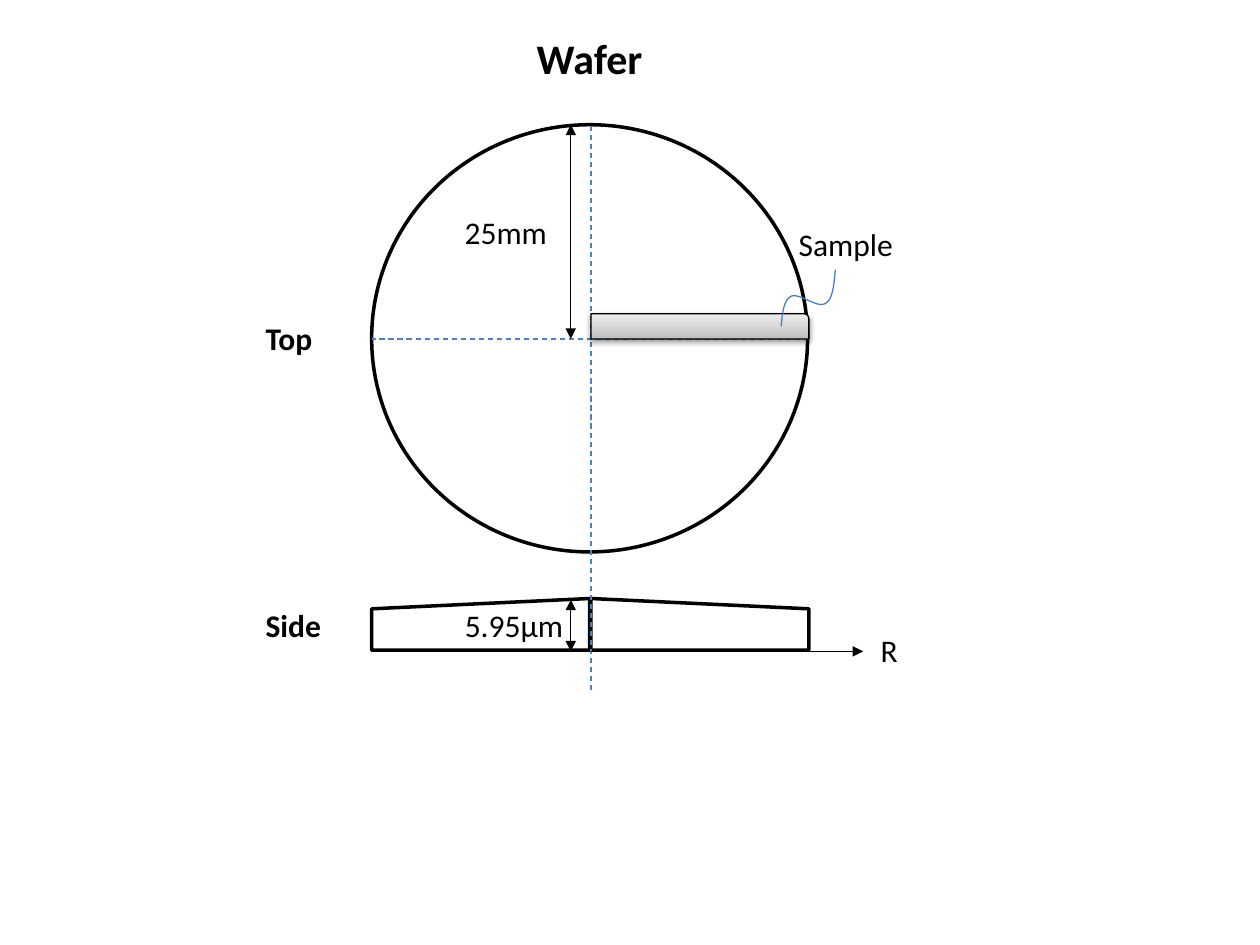
from copy import deepcopy
from dataclasses import dataclass

from lxml import etree
from pptx import Presentation
from pptx.dml.color import RGBColor
from pptx.enum.dml import MSO_LINE
from pptx.enum.shapes import MSO_CONNECTOR, MSO_SHAPE
from pptx.enum.text import MSO_ANCHOR, MSO_AUTO_SIZE, PP_ALIGN
from pptx.oxml.ns import qn
from pptx.util import Pt

PX = 9144  # EMU per px, 100 px to the inch
FONT = "Calibri"
BLACK, WHITE, BLUE, CURVE_BLUE = "000000", "FFFFFF", "4F81BD", "4B7EBC"
DASH = MSO_LINE.DASH
STRAIGHT = MSO_CONNECTOR.STRAIGHT
ELLIPSE = MSO_SHAPE.OVAL
WEDGE = MSO_SHAPE.FLOWCHART_MANUAL_INPUT
STRIP = MSO_SHAPE.ROUND_1_RECTANGLE
FIT = MSO_AUTO_SIZE.SHAPE_TO_FIT_TEXT
LEFT = PP_ALIGN.LEFT
TOP = MSO_ANCHOR.TOP

# Wafer geometry shared by both views
WAFER_LEFT, CENTER_X, RADIUS = 295, 469, 173
WAFER_TOP, CENTER_Y, WAFER_HEIGHT = 99, 269, 339
SIDE_TOP, SIDE_BOTTOM = 475, 517
STRIP_TOP = 249
RIGHT_EDGE = CENTER_X + RADIUS
DIMENSION_X = 453


@dataclass(frozen=True)
class Outline:
    preset: int
    left: int
    top: int
    width: int
    height: int
    flipped: bool = False


@dataclass(frozen=True)
class Line:
    start: tuple[int, int]
    end: tuple[int, int]
    color: str = BLACK
    dashed: bool = False
    arrows: tuple[str, ...] = ()


@dataclass(frozen=True)
class Label:
    text: str
    left: int
    top: int
    width: int
    height: int = 40
    size: int = 18
    bold: bool = False


TITLE = Label("Wafer", 416, 21, 105, 50, 24, True)
OUTLINES = [
    Outline(ELLIPSE, WAFER_LEFT, WAFER_TOP, 2 * RADIUS, WAFER_HEIGHT),
    Outline(WEDGE, WAFER_LEFT, SIDE_TOP, RADIUS, 41),
    Outline(WEDGE, CENTER_X, SIDE_TOP, RADIUS, 41, True),
]
AXES = [
    Line((CENTER_X, 548), (CENTER_X, WAFER_TOP), BLUE, True),
    Line((RIGHT_EDGE, CENTER_Y), (WAFER_LEFT, CENTER_Y), BLUE, True),
    Line((639, STRIP_TOP), (470, STRIP_TOP), BLUE, True),
    Line((685, SIDE_BOTTOM), (CENTER_X, SIDE_BOTTOM), arrows=("headEnd",)),
]
DIMENSIONS = [
    Line((DIMENSION_X, top), (DIMENSION_X, bottom), arrows=("headEnd", "tailEnd"))
    for top, bottom in [(WAFER_TOP, CENTER_Y), (476, SIDE_BOTTOM)]
]
LABELS = [
    Label("R", 689, 496, 34),
    Label("25mm", 359, 164, 86),
    Label("Top", 201, 248, 57, bold=True),
    Label("Side", 201, 476, 64, bold=True),
    Label("5.95μm", 359, 476, 99),
    Label("Sample", 624, 174, 96),
]
# Start point, then three points for each Bézier piece
LEADER = [(663, 214), (662, 226), (661, 238), (655, 241), (649, 245),
          (634, 232), (628, 235), (622, 238), (621, 248), (620, 259)]


def rgb(color: str) -> RGBColor:
    return RGBColor.from_string(color)


def px(*lengths: int) -> list[int]:
    return [length * PX for length in lengths]


def style_line(line, color: str, width: float) -> None:
    line.color.rgb = rgb(color)
    line.width = Pt(width)


def draw_outline(slide, outline: Outline, width: float = 2):
    shape = slide.shapes.add_shape(
        outline.preset, *px(outline.left, outline.top, outline.width, outline.height))
    shape.shadow.inherit = False
    shape.fill.solid()
    shape.fill.fore_color.rgb = rgb(WHITE)
    style_line(shape.line, BLACK, width)
    if outline.flipped:
        shape.element.spPr.find(qn("a:xfrm")).set("flipH", "1")
    return shape


def draw_line(slide, line: Line) -> None:
    connector = slide.shapes.add_connector(STRAIGHT, *px(*line.start, *line.end))
    style_line(connector.line, line.color, 0.75)
    if line.dashed:
        connector.line.dash_style = DASH
    properties = connector.element.spPr
    for arrow in line.arrows:
        etree.SubElement(properties.find(qn("a:ln")), qn(f"a:{arrow}"), type="triangle")
    etree.SubElement(properties, qn("a:effectLst"))


def fill_label(shape, label: Label) -> None:
    frame = shape.text_frame
    frame.word_wrap = False
    frame.auto_size = FIT
    frame.vertical_anchor = TOP
    paragraph = frame.paragraphs[0]
    paragraph.alignment = LEFT
    run = paragraph.add_run()
    run.text = label.text
    run.font.name = FONT
    run.font.size = Pt(label.size)
    run.font.bold = label.bold
    run.font.color.rgb = rgb(BLACK)


def draw_label(slide, label: Label) -> None:
    box = slide.shapes.add_textbox(*px(label.left, label.top, label.width, label.height))
    fill_label(box, label)


def draw_sample_strip(slide) -> None:
    strip = draw_outline(
        slide, Outline(STRIP, CENTER_X, STRIP_TOP, RADIUS, CENTER_Y - STRIP_TOP), 0.75)
    strip.adjustments[0] = 0.2
    strip.fill.gradient()
    strip.fill.gradient_angle = 90
    properties = strip.element.spPr
    stop_list = properties.find(".//" + qn("a:gsLst"))
    stop_list.append(deepcopy(stop_list[0]))
    stops = [(0, "BDBDBD"), (0.35, "D1D1D1"), (1, "EEEEEE")]
    for stop, (position, color) in zip(strip.fill.gradient_stops, stops):
        stop.position = position
        stop.color.rgb = rgb(color)
    # Soft shadow below the strip
    shadow = etree.SubElement(
        properties.find(qn("a:effectLst")), qn("a:outerShdw"),
        blurRad="40000", dist="20000", dir="5400000", rotWithShape="0")
    shadow_color = etree.SubElement(shadow, qn("a:srgbClr"), val=BLACK)
    etree.SubElement(shadow_color, qn("a:alpha"), val="38000")


def draw_curve(slide, points: list[tuple[int, int]]) -> None:
    builder = slide.shapes.build_freeform(*points[0], scale=PX)
    builder.add_line_segments(points[1:], close=False)
    shape = builder.convert_to_shape()
    shape.shadow.inherit = False
    shape.fill.background()
    style_line(shape.line, CURVE_BLUE, 0.75)
    # Turn each three line segments into one Bézier piece
    outline = shape.element.spPr.find(".//" + qn("a:path"))
    segments = outline.findall(qn("a:lnTo"))
    for first in range(0, len(segments), 3):
        bezier = etree.SubElement(outline, qn("a:cubicBezTo"))
        for segment in segments[first:first + 3]:
            bezier.append(segment[0])
            outline.remove(segment)


def main() -> None:
    presentation = Presentation()
    presentation.slide_width, presentation.slide_height = px(1000, 750)
    slide = presentation.slides.add_slide(presentation.slide_layouts[5])

    # Title
    title = slide.shapes.title
    title.left, title.top, title.width, title.height = px(
        TITLE.left, TITLE.top, TITLE.width, TITLE.height)
    fill_label(title, TITLE)

    # Wafer views, sample and dimensions
    for outline in OUTLINES:
        draw_outline(slide, outline)
    for line in AXES:
        draw_line(slide, line)
    draw_sample_strip(slide)
    for line in DIMENSIONS:
        draw_line(slide, line)

    # Labels and the leader to the sample
    for label in LABELS:
        draw_label(slide, label)
    draw_curve(slide, LEADER)
    presentation.save("out.pptx")


if __name__ == "__main__":
    main()
